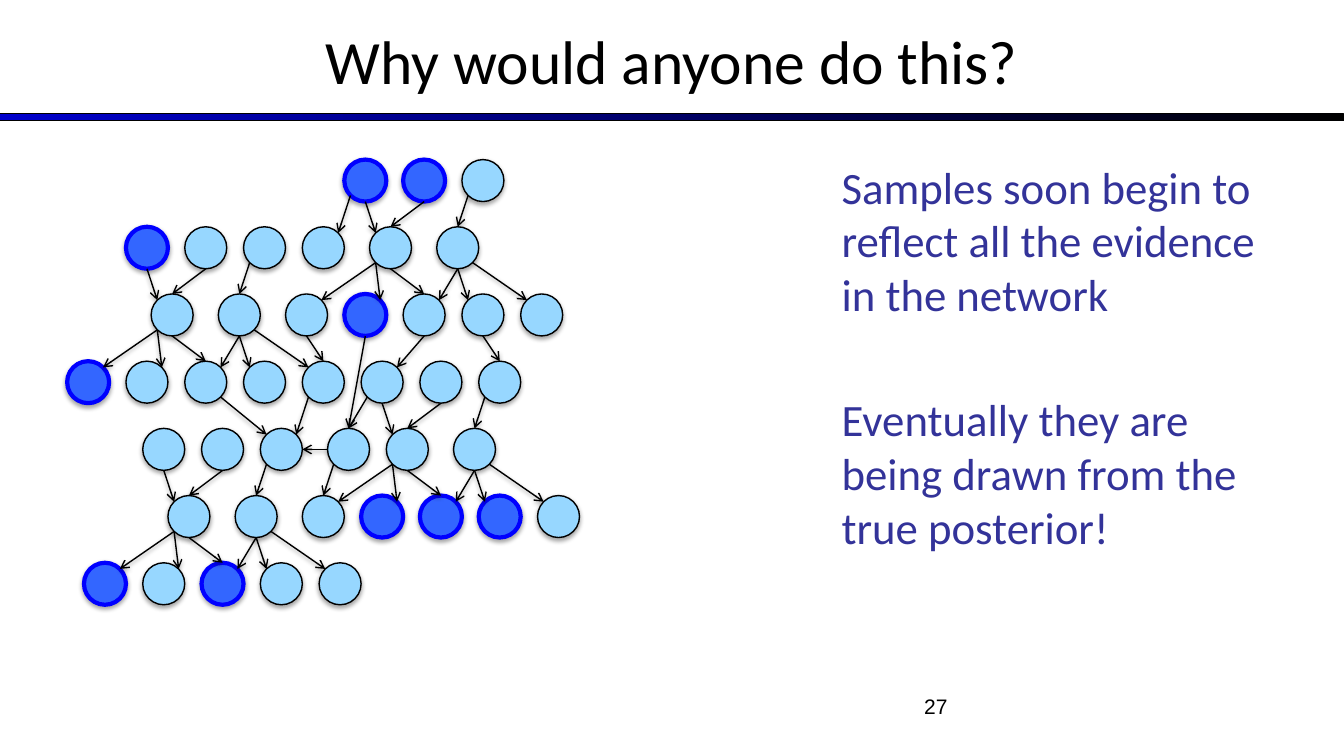
from dataclasses import dataclass

from lxml import etree
from pptx import Presentation
from pptx.dml.color import RGBColor
from pptx.enum.shapes import MSO_CONNECTOR, MSO_SHAPE
from pptx.enum.text import MSO_ANCHOR, PP_ALIGN
from pptx.oxml.ns import qn
from pptx.util import Cm, Pt

OVAL, RECT = MSO_SHAPE.OVAL, MSO_SHAPE.RECTANGLE
STRAIGHT = MSO_CONNECTOR.STRAIGHT
LEFT, MID, RIGHT = PP_ALIGN.LEFT, PP_ALIGN.CENTER, PP_ALIGN.RIGHT
CENTER = MSO_ANCHOR.MIDDLE


@dataclass(frozen=True)
class Theme:
    black: str = "000000"
    text: str = "333399"
    bar: str = "0000CC"
    light: str = "97D7FF"
    dark: str = "3366FF"
    ring: str = "0000FF"
    font: str = "Calibri"
    plain: str = "Arial"
    head: int = 44
    body: int = 32
    page: int = 15


THEME = Theme()

# The network sits on a grid of twelfths of an inch
UNIT = 2.54 / 12
SIZE = 5
TOP, STEP = 19, 8
ROWS = {
    "a": (41, 48, 55),
    "b": (15, 22, 29, 36, 44, 52),
    "c": (18, 26, 34, 41, 48, 55, 62),
    "d": (8, 15, 22, 29, 36, 43, 50, 57),
    "e": (17, 24, 31, 39, 46, 54),
    "f": (20, 28, 36, 43, 50, 57, 64),
    "g": (10, 17, 24, 31, 38),
}
SEEN = {"a0", "a1", "b0", "c3", "d0", "f3", "f4", "f5", "g0", "g2"}

# Points on a node's rim, from its top left corner
NEAR, FAR, HALF = 0.73, 4.27, SIZE / 2
RIM = {
    "t": (HALF, 0), "b": (HALF, SIZE), "l": (0, HALF), "r": (SIZE, HALF),
    "tl": (NEAR, NEAR), "tr": (FAR, NEAR), "bl": (NEAR, FAR), "br": (FAR, FAR),
}

# Each parent point with the child points that it leads to
LINKS = {
    "a0.b": "b4.tl", "a0.bl": "b3.tr", "a1.b": "b4.t", "a2.bl": "b5.t",
    "b0.b": "c0.tl", "b1.b": "c0.t", "b2.bl": "c1.t",
    "b4.bl": "c2.tr c3.tr", "b4.b": "c4.t",
    "b5.b": "c5.tl c4.tr", "b5.br": "c6.tl",
    "c0.bl": "d0.tr d1.tr", "c0.b": "d2.t",
    "c1.b": "d3.tl d2.tr", "c1.br": "d4.tl",
    "c2.b": "d4.t", "c3.b": "e3.t", "c4.b": "d5.tr", "c5.b": "d7.t",
    "d2.br": "e2.tl", "d4.bl": "e2.tr", "d5.b": "e4.tl", "d5.bl": "e3.t",
    "d6.b": "e4.t", "d7.bl": "e5.t",
    "e0.b": "f0.tl", "e1.b": "f0.t", "e2.bl": "f1.t",
    "e3.l": "e2.r", "e3.bl": "f2.t",
    "e4.bl": "f2.tr f3.tr", "e4.b": "f4.t",
    "e5.b": "f5.tl f4.tr", "e5.br": "f6.tl",
    "f0.bl": "g0.tr g1.tr", "f0.b": "g2.t",
    "f1.b": "g3.tl g2.tr", "f1.br": "g4.tl",
}


def grid(num):
    return Cm(num * UNIT)


def shade(shape, dist, alpha):
    """Give a shape or connector a soft shadow that falls straight down."""
    props = shape._element.spPr
    for old in props.findall(qn("a:effectLst")):
        props.remove(old)
    group = etree.SubElement(props, qn("a:effectLst"))
    drop = etree.SubElement(group, qn("a:outerShdw"), blurRad="40000",
                            dist=str(dist), dir="5400000", rotWithShape="0")
    tone = etree.SubElement(drop, qn("a:srgbClr"), val=THEME.black)
    etree.SubElement(tone, qn("a:alpha"), val=str(alpha * 1000))


def pen(line, tone, width):
    line.color.rgb = RGBColor.from_string(tone)
    line.width = Pt(width)


def write(para, text, font, size, tone, align):
    para.alignment = align
    run = para.add_run()
    run.text = text
    run.font.name = font
    run.font.size = Pt(size)
    run.font.color.rgb = RGBColor.from_string(tone)


def add_head(slide, text):
    head = slide.shapes.title
    head.left, head.top, head.width, head.height = Cm(0), Cm(-0.08), Cm(33.87), Cm(3.18)
    head.text_frame.vertical_anchor = CENTER
    write(head.text_frame.paragraphs[0], text, THEME.font, THEME.head, THEME.black, MID)


def add_bar(slide):
    bar = slide.shapes.add_shape(RECT, Cm(0), Cm(2.87), Cm(33.87), Cm(0.18))
    bar.shadow.inherit = False
    bar.fill.gradient()
    bar.fill.gradient_angle = 0
    for stop, tone, place in zip(bar.fill.gradient_stops, (THEME.bar, THEME.black), (0, 1)):
        stop.color.rgb = RGBColor.from_string(tone)
        stop.position = place
    pen(bar.line, THEME.black, 0.75)


def add_text(slide, box, texts, font, size, tone, align, gap=0):
    frame = slide.shapes.add_textbox(*map(Cm, box)).text_frame
    frame.word_wrap = True
    for i, text in enumerate(texts):
        para = frame.add_paragraph() if i else frame.paragraphs[0]
        if i:
            para.space_before = Pt(gap)
        write(para, text, font, size, tone, align)


def spot(name):
    row = name[0]
    return ROWS[row][int(name[1:])], TOP + STEP * list(ROWS).index(row)


def point(end):
    name, side = end.split(".")
    return [grid(base + step) for base, step in zip(spot(name), RIM[side])]


def add_node(slide, name):
    x, y = spot(name)
    node = slide.shapes.add_shape(OVAL, grid(x), grid(y), grid(SIZE), grid(SIZE))
    seen = name in SEEN
    node.fill.solid()
    node.fill.fore_color.rgb = RGBColor.from_string(THEME.dark if seen else THEME.light)
    pen(node.line, THEME.ring if seen else THEME.black, 3 if seen else 1)
    shade(node, 23000, 35)


def add_link(slide, start, end):
    link = slide.shapes.add_connector(STRAIGHT, *point(start), *point(end))
    pen(link.line, THEME.black, 1)
    etree.SubElement(link.line._get_or_add_ln(), qn("a:tailEnd"), type="arrow")
    shade(link, 20000, 38)


def add_net(slide):
    names = [f"{row}{i}" for row, lefts in ROWS.items() for i in range(len(lefts))]
    # Arrows lie over the dark nodes and under the light ones
    for name in names:
        if name in SEEN:
            add_node(slide, name)
    for start, ends in LINKS.items():
        for end in ends.split():
            add_link(slide, start, end)
    for name in names:
        if name not in SEEN:
            add_node(slide, name)


def main():
    deck = Presentation()
    deck.slide_width, deck.slide_height = Cm(33.87), Cm(19.05)
    slide = deck.slides.add_slide(deck.slide_layouts[5])

    # Title and rule
    add_bar(slide)
    add_head(slide, "Why would anyone do this?")

    # Remarks and page number
    add_text(slide, (20.96, 3.89, 11.79, 13.13), (
        "Samples soon begin to reflect all the evidence in the network",
        "Eventually they are being drawn from the true posterior!",
    ), THEME.font, THEME.body, THEME.text, LEFT, gap=51)
    add_text(slide, (18.2, 17.36, 5.93, 1.32), ("27",),
             THEME.plain, THEME.page, THEME.black, RIGHT)

    # Bayes network
    add_net(slide)
    deck.save("out.pptx")


if __name__ == "__main__":
    main()
